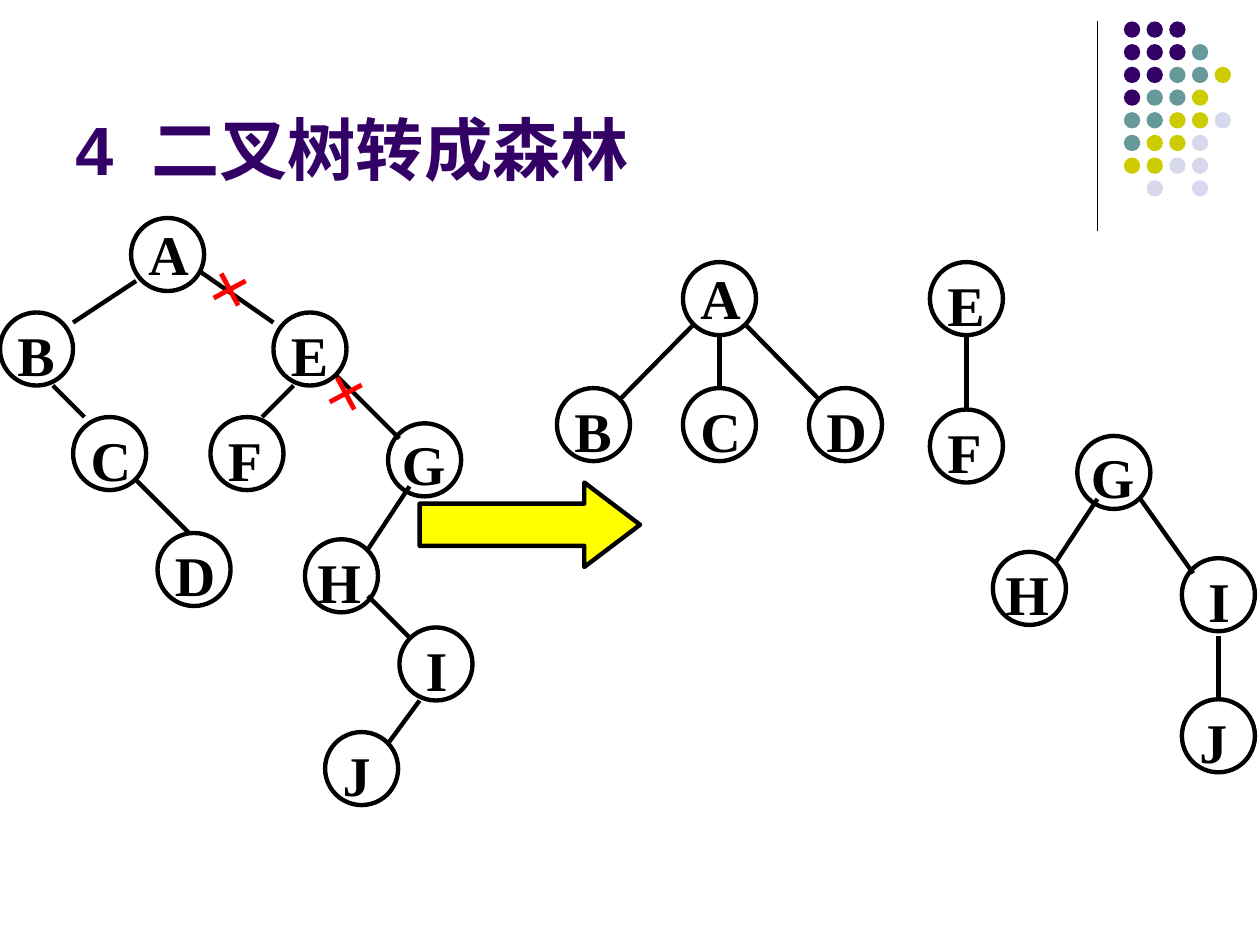
"""Build the slide on turning a binary tree into a forest."""
from dataclasses import dataclass

from lxml.etree import SubElement
from pptx import Presentation
from pptx.dml.color import RGBColor
from pptx.enum.shapes import MSO_CONNECTOR, MSO_SHAPE
from pptx.enum.text import MSO_ANCHOR
from pptx.oxml.ns import qn
from pptx.util import Inches, Pt

BLACK = RGBColor(0x00, 0x00, 0x00)
PURPLE = RGBColor(0x33, 0x00, 0x66)
TEAL = RGBColor(0x66, 0x99, 0x99)
OLIVE = RGBColor(0xCC, 0xCC, 0x00)
LAVENDER = RGBColor(0xD8, 0xD8, 0xEC)
YELLOW = RGBColor(0xFF, 0xFF, 0x00)
RED = RGBColor(0xFF, 0x00, 0x00)

SERIF = "Times New Roman"
NODE_SIZE = 0.58
STROKE = 2.5
LABEL_SHIFTS = {"G": (0.01, -0.04), "H": (0, -0.08), "I": (0.11, -0.08)}
SINGLE_SPACED = "AG"

DOT_COLORS = {"P": PURPLE, "T": TEAL, "O": OLIVE, "L": LAVENDER}
DOT_ROWS = ("PPP", "PPPT", "PPTTO", "PTTO", "TTOOL", "TOOL", "OOLL", ".L.L")
DOT_SIZE = 0.13
DOT_PITCH = 0.18


@dataclass(frozen=True)
class Node:
    letter: str
    left: float
    top: float


@dataclass(frozen=True)
class Edge:
    start_x: float
    start_y: float
    end_x: float
    end_y: float


@dataclass(frozen=True)
class Tree:
    nodes: tuple[Node, ...]
    edges: tuple[Edge, ...]


BINARY_TREE = Tree(
    (Node("A", 1.04, 1.73), Node("B", 0, 2.48), Node("C", 0.58, 3.31),
     Node("D", 1.25, 4.23), Node("E", 2.17, 2.48), Node("F", 1.67, 3.31),
     Node("G", 3.08, 3.36), Node("H", 2.42, 4.28), Node("I", 3.17, 4.98),
     Node("J", 2.58, 5.81)),
    (Edge(1.08, 2.23, 0.58, 2.56), Edge(0.42, 3.06, 0.67, 3.31),
     Edge(1.08, 3.81, 1.5, 4.23), Edge(1.58, 2.15, 2.17, 2.56),
     Edge(2.33, 3.06, 2.08, 3.31), Edge(2.67, 2.98, 3.17, 3.48),
     Edge(3.25, 3.86, 2.92, 4.36), Edge(2.92, 4.73, 3.25, 5.06),
     Edge(3.33, 5.56, 3.08, 5.9)),
)
FOREST = (
    Tree(
        (Node("A", 5.42, 2.08), Node("B", 4.42, 3.08),
         Node("C", 5.42, 3.08), Node("D", 6.42, 3.08)),
        (Edge(5.71, 2.67, 5.71, 3.08), Edge(5.5, 2.58, 4.92, 3.17),
         Edge(5.92, 2.58, 6.5, 3.17)),
    ),
    Tree(
        (Node("E", 7.38, 2.08), Node("F", 7.38, 3.25)),
        (Edge(7.67, 2.67, 7.67, 3.25),),
    ),
    Tree(
        (Node("G", 8.55, 3.46), Node("H", 7.88, 4.38),
         Node("I", 9.38, 4.43), Node("J", 9.38, 5.55)),
        (Edge(8.71, 3.96, 8.38, 4.46), Edge(9.05, 3.96, 9.47, 4.55),
         Edge(9.67, 5.05, 9.67, 5.55)),
    ),
)
CUTS = ((1.58, 1.9), (2.5, 2.73))


def add_line(shapes, edge: Edge, width: float):
    """Draw a straight black line."""
    line = shapes.add_connector(
        MSO_CONNECTOR.STRAIGHT, Inches(edge.start_x), Inches(edge.start_y),
        Inches(edge.end_x), Inches(edge.end_y))
    line.line.color.rgb = BLACK
    line.line.width = Pt(width)
    SubElement(line._element.spPr, qn("a:effectLst"))


def add_preset(shapes, kind, left: float, top: float, width: float,
               height: float, fill: RGBColor | None, outlined: bool):
    """Draw a preset shape with an optional fill and outline."""
    shape = shapes.add_shape(
        kind, Inches(left), Inches(top), Inches(width), Inches(height))
    shape.shadow.inherit = False
    if fill is None:
        shape.fill.background()
    else:
        shape.fill.solid()
        shape.fill.fore_color.rgb = fill
    if outlined:
        shape.line.color.rgb = BLACK
        shape.line.width = Pt(STROKE)
    else:
        shape.line.fill.background()
    return shape


def add_text(shapes, texts: tuple[str, ...], left: float, top: float,
             width: float, height: float, font: str, size: float,
             color: RGBColor):
    """Write one bold paragraph, run by run, in a wrapping box."""
    box = shapes.add_textbox(
        Inches(left), Inches(top), Inches(width), Inches(height))
    box.text_frame.word_wrap = True
    para = box.text_frame.paragraphs[0]
    for text in texts:
        span = para.add_run()
        span.text = text
        span.font.name = font
        span.font.size = Pt(size)
        span.font.bold = True
        span.font.color.rgb = color
    return box


def add_node(shapes, node: Node):
    """Draw a circled letter."""
    add_preset(shapes, MSO_SHAPE.OVAL, node.left, node.top,
               NODE_SIZE, NODE_SIZE, None, True)
    shift_x, shift_y = LABEL_SHIFTS.get(node.letter, (0.04, -0.08))
    single = node.letter in SINGLE_SPACED
    box = add_text(shapes, (node.letter,), node.left + shift_x,
                   node.top + shift_y, NODE_SIZE, 0.64 if single else 0.69,
                   SERIF, 32, BLACK)
    box.text_frame.margin_top = Inches(0.09)
    box.text_frame.paragraphs[0].line_spacing = 1.0 if single else 1.1


def add_tree(page, tree: Tree):
    """Draw a tree as one group."""
    group = page.shapes.add_group_shape()
    for node in tree.nodes:
        add_node(group.shapes, node)
    for edge in tree.edges:
        add_line(group.shapes, edge, STROKE)


def add_dots(page):
    """Draw the corner grid of dots."""
    group = page.shapes.add_group_shape()
    for row, codes in enumerate(DOT_ROWS):
        for column, code in enumerate(codes):
            if code in DOT_COLORS:
                add_preset(group.shapes, MSO_SHAPE.OVAL,
                           8.92 + column * DOT_PITCH, 0.17 + row * DOT_PITCH,
                           DOT_SIZE, DOT_SIZE, DOT_COLORS[code], False)


def add_title(page):
    """Write the heading with a widened gap after its number."""
    box = add_text(page.shapes, ("4", " ", "二叉树转成森林"),
                   0.5, 0.13, 8.25, 1.42, "Arial", 39, PURPLE)
    box.text_frame.vertical_anchor = MSO_ANCHOR.BOTTOM
    gap = box.text_frame.paragraphs[0].runs[1]
    gap.font._element.set("spc", "1080")


def main():
    """Build and save the deck."""
    deck = Presentation()
    deck.slide_width, deck.slide_height = Inches(10), Inches(7.5)
    page = deck.slides.add_slide(deck.slide_layouts[6])
    add_line(page.shapes, Edge(8.71, 0.17, 8.71, 1.83), 0.75)
    add_dots(page)
    add_title(page)
    for tree in (BINARY_TREE, *FOREST):
        add_tree(page, tree)
    arrow = add_preset(page.shapes, MSO_SHAPE.RIGHT_ARROW,
                       3.33, 3.83, 1.75, 0.67, YELLOW, True)
    arrow.adjustments[1] = 0.66
    for left, top in CUTS:
        cut = add_text(page.shapes, ("×",), left, top, 0.65, 0.77,
                       SERIF, 40, RED)
        cut.rotation = 16.9
    deck.save("out.pptx")


if __name__ == "__main__":
    main()
